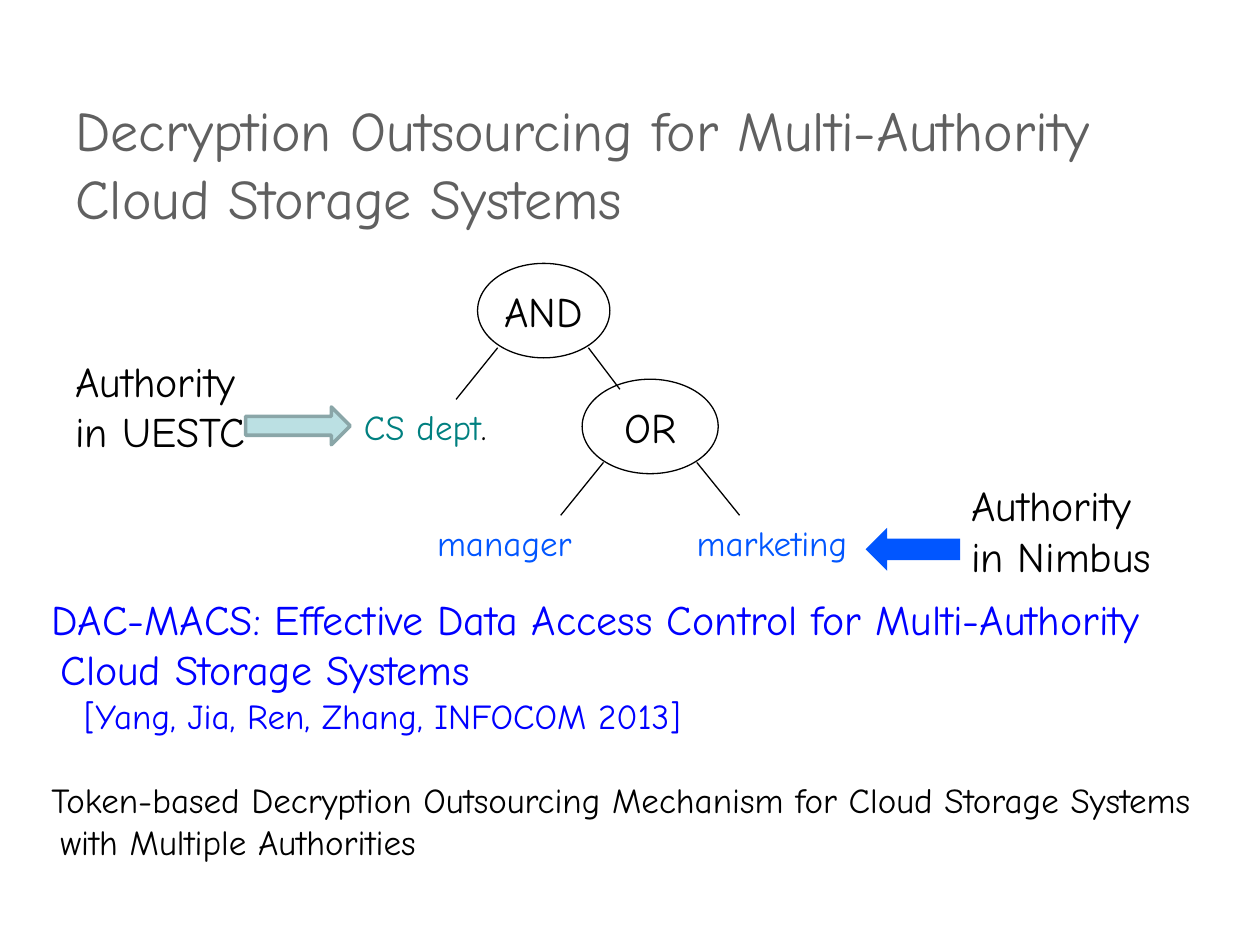
"""Build the slide on decryption outsourcing with an AND/OR access tree."""
import pptx
import pptx.dml.color
import pptx.enum.shapes
import pptx.enum.text
import pptx.oxml.ns
import pptx.util
from lxml import etree

RGBColor = pptx.dml.color.RGBColor
BLACK = RGBColor(0x00, 0x00, 0x00)
WHITE = RGBColor(0xFF, 0xFF, 0xFF)
GREY = RGBColor(0x60, 0x60, 0x60)
TEAL = RGBColor(0x00, 0x80, 0x80)
PALE_TEAL = RGBColor(0xBB, 0xE0, 0xE3)
DULL_TEAL = RGBColor(0x8A, 0xA6, 0xA8)
BRIGHT_BLUE = RGBColor(0x01, 0x56, 0xFF)
PURE_BLUE = RGBColor(0x00, 0x00, 0xFF)
FONT = "Comic Neue"
SHAPE = pptx.enum.shapes.MSO_SHAPE
ALIGN = pptx.enum.text.PP_ALIGN
ANCHOR = pptx.enum.text.MSO_ANCHOR

deck = pptx.Presentation()
deck.slide_width = pptx.util.Inches(10)
deck.slide_height = pptx.util.Inches(7.5)
page = deck.slides.add_slide(deck.slide_layouts[5])
CELL = deck.slide_width / 100


def grid(*cells):
    """Turn grid columns and rows into lengths."""
    return [round(cell * CELL) for cell in cells]


def add_span(para, text, size, color):
    """Append one formatted run to a paragraph."""
    span = para.add_run()
    span.text = text
    span.font.name = FONT
    span.font.size = pptx.util.Pt(size)
    span.font.color.rgb = color


title = page.shapes.title
title.left, title.top, title.width, title.height = grid(5, 6.7, 94.2, 12.5)
title.text_frame.vertical_anchor = ANCHOR.MIDDLE
title.text_frame.paragraphs[0].alignment = ALIGN.LEFT
add_span(title.text_frame.paragraphs[0],
         "Decryption Outsourcing for Multi-Authority Cloud Storage Systems", 32, GREY)

for gate, cells in [("AND", (37.9, 20.9, 10.5, 7.5)), ("OR", (46.2, 30.1, 10.8, 7.5))]:
    node = page.shapes.add_shape(SHAPE.OVAL, *grid(*cells))
    node.shadow.inherit = False
    node.fill.solid()
    node.fill.fore_color.rgb = WHITE
    node.line.color.rgb = BLACK
    node.line.width = pptx.util.Pt(0.75)
    node.text_frame.word_wrap = False
    node.text_frame.vertical_anchor = ANCHOR.MIDDLE
    node.text_frame.paragraphs[0].alignment = ALIGN.CENTER
    add_span(node.text_frame.paragraphs[0], gate, 24, BLACK)

branches = [
    (49.2, 30.9, 46.7, 27.6),
    (36.2, 31.7, 39.5, 27.6),
    (44.5, 40.9, 47.9, 36.7),
    (58.7, 40.9, 55.3, 36.7),
]
for ends in branches:
    branch = page.shapes.add_connector(pptx.enum.shapes.MSO_CONNECTOR.STRAIGHT, *grid(*ends))
    branch.line.color.rgb = BLACK
    branch.line.width = pptx.util.Pt(0.75)
    etree.SubElement(branch._element.spPr, pptx.oxml.ns.qn("a:effectLst"))

arrows = [
    (SHAPE.RIGHT_ARROW, (19.5, 32.3, 8.3, 3), PALE_TEAL, DULL_TEAL),
    (SHAPE.LEFT_ARROW, (68.7, 41.9, 7.5, 3.4), BRIGHT_BLUE, None),
]
for kind, cells, fill, outline in arrows:
    arrow = page.shapes.add_shape(kind, *grid(*cells))
    arrow.shadow.inherit = False
    arrow.fill.solid()
    arrow.fill.fore_color.rgb = fill
    if outline is None:
        arrow.line.fill.background()
    else:
        arrow.line.color.rgb = outline
        arrow.line.width = pptx.util.Pt(2)

labels = [
    ((27.9, 31.7, 13.2, 4.4), 20, [[("CS dept", TEAL), (".", BLACK)]]),
    ((33.7, 40.9, 13.1, 4.4), 20, [[("manager", BRIGHT_BLUE)]]),
    ((54.3, 40.9, 15.1, 4.4), 20, [[("marketing", BRIGHT_BLUE)]]),
    ((5, 27.7, 17.4, 9.1), 24, [[("Authority", BLACK)], [("in UESTC", BLACK)]]),
    ((76.1, 37.6, 17.4, 9.1), 24, [[("Authority", BLACK)], [("in Nimbus", BLACK)]]),
]
for cells, size, lines in labels:
    box = page.shapes.add_textbox(*grid(*cells))
    box.text_frame.word_wrap = True
    for index, line in enumerate(lines):
        para = box.text_frame.add_paragraph() if index else box.text_frame.paragraphs[0]
        for text, color in line:
            add_span(para, text, size, color)

references = [
    ("DAC-MACS: Effective Data Access Control for Multi-Authority Cloud Storage Systems",
     24, PURE_BLUE, -0.07, 0),
    ("[Yang, Jia, Ren, Zhang, INFOCOM 2013]", 20, PURE_BLUE, 0.19, 0),
    ("Token-based Decryption Outsourcing Mechanism for Cloud Storage Systems "
     "with Multiple Authorities", 20, BLACK, -0.07, 24),
]
box = page.shapes.add_textbox(*grid(0, 46.6, 99.2, 22.6))
box.text_frame.word_wrap = True
for index, (text, size, color, indent, gap) in enumerate(references):
    para = box.text_frame.add_paragraph() if index else box.text_frame.paragraphs[0]
    properties = para._p.get_or_add_pPr()
    properties.set("marL", str(pptx.util.Inches(0.38)))
    properties.set("indent", str(pptx.util.Inches(indent)))
    if gap:
        para.space_before = pptx.util.Pt(gap)
    add_span(para, text, size, color)

deck.save("out.pptx")
